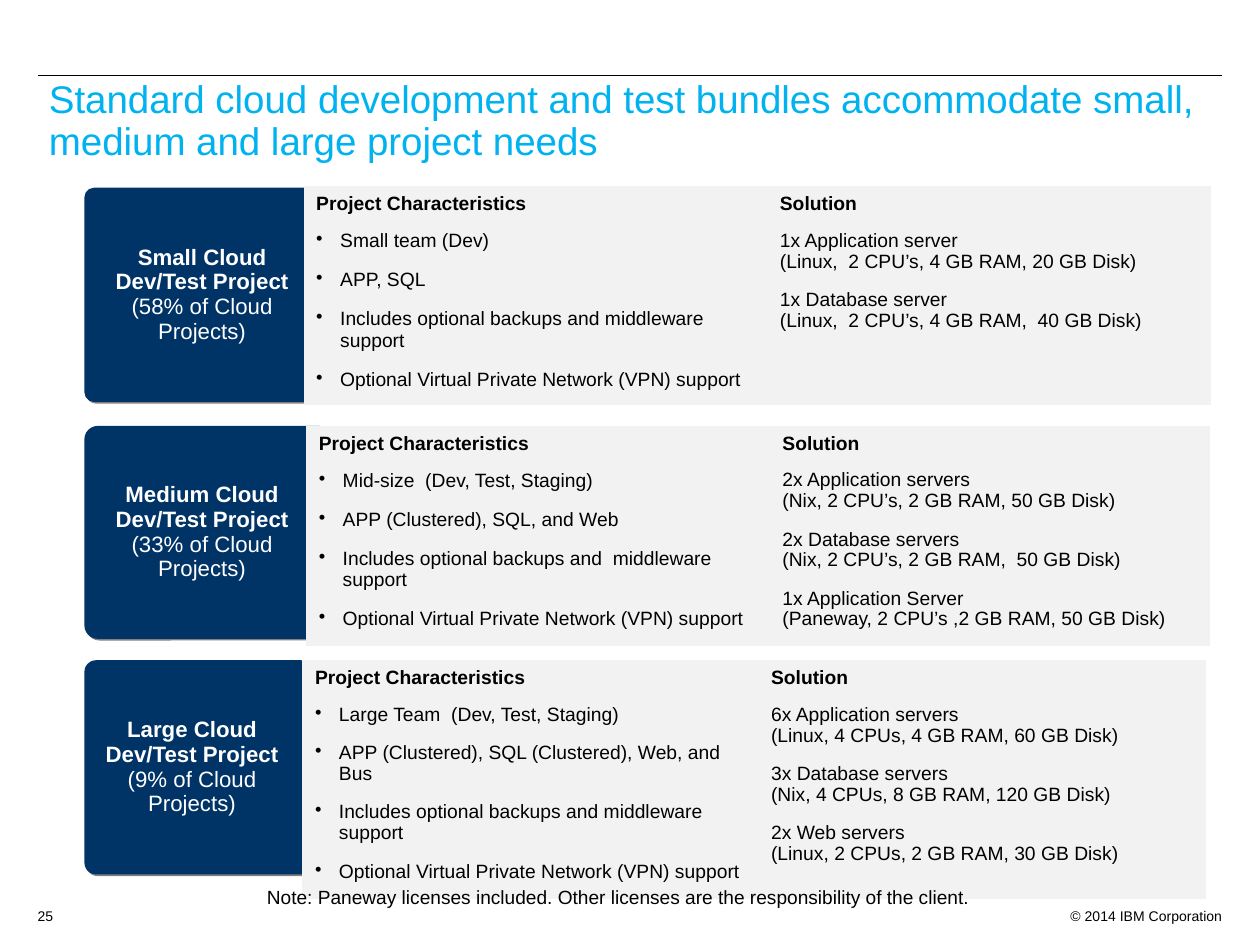
from dataclasses import dataclass

from lxml import etree
from pptx import Presentation
from pptx import util as u
from pptx.dml.color import RGBColor
from pptx.enum import shapes, text
from pptx.oxml import ns

BLACK = RGBColor(0x00, 0x00, 0x00)
WHITE = RGBColor(0xFF, 0xFF, 0xFF)
CYAN = RGBColor(0x00, 0xB2, 0xEF)
NAVY = RGBColor(0x00, 0x33, 0x66)
PALE = RGBColor(0xF2, 0xF2, 0xF2)
GREY = RGBColor(0x80, 0x80, 0x80)

FACE = "Arial"
PLAIN = "{2D5ABB26-0587-4C30-8999-92F81FD0307C}"  # table style without grid
HEADS = ("Project Characteristics", "Solution")
INDENT = 0.19
VPN = "Optional Virtual Private Network (VPN) support"


@dataclass
class Bundle:
    name: str
    share: str
    top: float
    card: tuple[float, float, float, float]  # top, width, height, corner
    left: float
    cols: tuple[float, float]
    body: float
    traits: list[str]
    servers: list[str]
    tight: tuple[float, ...] = (1, 1, 1, 1)


BUNDLES = [
    Bundle("Small Cloud Dev/Test Project", "(58% of Cloud Projects)",
           1.48, (1.49, 1.97, 1.7, 0.045), 2.41, (3.68, 3.52), 1.44,
           ["Small team (Dev)", "APP, SQL",
            "Includes optional backups and middleware support", VPN],
           ["1x Application server\n(Linux,  2 CPU’s, 4 GB RAM, 20 GB Disk)",
            "1x Database server\n(Linux,  2 CPU’s, 4 GB RAM,  40 GB Disk)"]),
    Bundle("Medium Cloud Dev/Test Project", "(33% of Cloud Projects)",
           3.38, (3.38, 1.97, 1.69, 0.063), 2.43, (3.68, 3.49), 1.46,
           ["Mid-size  (Dev, Test, Staging)", "APP (Clustered), SQL, and Web",
            "Includes optional backups and  middleware support", VPN],
           ["2x Application servers\n(Nix, 2 CPU’s, 2 GB RAM, 50 GB Disk)",
            "2x Database servers\n(Nix, 2 CPU’s, 2 GB RAM,  50 GB Disk)",
            "1x Application Server\n(Paneway, 2 CPU’s ,2 GB RAM, 50 GB Disk)"]),
    Bundle("Large Cloud Dev/Test Project", "(9% of Cloud Projects)",
           5.24, (5.24, 1.81, 1.7, 0.054), 2.4, (3.62, 3.55), 1.6,
           ["Large Team  (Dev, Test, Staging)",
            "APP (Clustered), SQL (Clustered), Web, and Bus",
            "Includes optional backups and middleware support", VPN],
           ["6x Application servers\n(Linux, 4 CPUs, 4 GB RAM, 60 GB Disk)",
            "3x Database servers\n(Nix, 4 CPUs, 8 GB RAM, 120 GB Disk)",
            "2x Web servers\n(Linux, 2 CPUs, 2 GB RAM, 30 GB Disk)"],
           (0.98, 0.97, 0.97, 1)),
]


def apply(item, form: dict) -> None:
    for key, value in form.items():
        setattr(item, key, value)


def inset(item, left=0.1, top=0.05, right=0.1, bottom=0.05) -> None:
    sides = zip(("left", "top", "right", "bottom"), (left, top, right, bottom))
    apply(item, {f"margin_{side}": u.Inches(gap) for side, gap in sides})


def add_tag(parent, tag: str, **attrs):
    return etree.SubElement(parent, ns.qn(tag), attrs)


def add_bullet(para) -> None:
    props = para._p.get_or_add_pPr()
    props.set("marL", str(u.Inches(INDENT)))
    props.set("indent", str(-u.Inches(INDENT)))
    add_tag(add_tag(props, "a:buClr"), "a:srgbClr", val=str(BLACK))
    add_tag(props, "a:buChar", char="•")


def write(frame, lines: list[str], size: float, color: RGBColor = BLACK,
          bold: tuple = (), spacing: tuple = (), gap: float = 0,
          bullet: bool = False, align=text.PP_ALIGN.LEFT) -> None:
    """Fill a text frame, one paragraph a line, with gap points between."""
    for i, line in enumerate(lines):
        para = frame.add_paragraph() if i else frame.paragraphs[0]
        para.text = line
        if bullet:
            add_bullet(para)
        form = {"alignment": align}
        if spacing:
            form["line_spacing"] = spacing[i]
        if i and gap:
            form["space_before"] = u.Pt(gap)
        apply(para, form)
        for run in para.runs:
            apply(run.font, {"name": FACE, "size": u.Pt(size),
                             "bold": i in bold})
            run.font.color.rgb = color


def add_text(slide, box: tuple, line: str, size: float,
             anchor=text.MSO_ANCHOR.TOP, **form):
    frame = slide.shapes.add_textbox(*map(u.Inches, box)).text_frame
    apply(frame, {"word_wrap": True, "vertical_anchor": anchor})
    inset(frame)
    write(frame, [line], size, **form)
    return frame


def add_rule(slide) -> None:
    rule = slide.shapes.add_connector(
        shapes.MSO_CONNECTOR.STRAIGHT,
        *map(u.Inches, (0.3, 0.6, 9.7, 0.6)))
    rule.line.color.rgb = BLACK
    rule.line.width = u.Pt(0.75)
    add_tag(rule._element.spPr, "a:effectLst")


def add_card(slide, item: Bundle) -> None:
    top, width, height, corner = item.card
    card = slide.shapes.add_shape(
        shapes.MSO_SHAPE.ROUNDED_RECTANGLE,
        *map(u.Inches, (0.67, top, width, height)))
    card.adjustments[0] = corner
    card.fill.solid()
    card.fill.fore_color.rgb = NAVY
    card.line.fill.background()
    card.shadow.inherit = False
    effects = card._element.spPr.find(ns.qn("a:effectLst"))
    shade = add_tag(effects, "a:outerShdw", dist=str(u.Pt(1.4)),
                    dir=str(45 * 60000), algn="ctr", rotWithShape="0")
    add_tag(shade, "a:srgbClr", val=str(GREY))
    frame = card.text_frame
    apply(frame, {"word_wrap": True,
                  "vertical_anchor": text.MSO_ANCHOR.MIDDLE})
    inset(frame, right=0.2)
    write(frame, [item.name, item.share], 12.7, WHITE, bold=(0,),
          spacing=(0.93, 0.93), align=text.PP_ALIGN.CENTER)


def add_grid(slide, item: Bundle) -> None:
    rows = (0.29, item.body)
    box = (item.left, item.top, sum(item.cols), sum(rows))
    grid = slide.shapes.add_table(2, 2, *map(u.Inches, box)).table
    apply(grid, {"first_row": False, "horz_banding": False})
    grid._tbl.tblPr.find(ns.qn("a:tableStyleId")).text = PLAIN
    for col, width in zip(grid.columns, item.cols):
        col.width = u.Inches(width)
    for row, height in zip(grid.rows, rows):
        row.height = u.Inches(height)
    for cell in grid.iter_cells():
        cell.fill.solid()
        cell.fill.fore_color.rgb = PALE
        inset(cell, top=0.06)
    for i, head in enumerate(HEADS):
        write(grid.cell(0, i).text_frame, [head], 11, bold=(0,),
              spacing=(0.98,))
    write(grid.cell(1, 0).text_frame, item.traits, 11, spacing=item.tight,
          gap=10, bullet=True)
    write(grid.cell(1, 1).text_frame, item.servers, 11,
          spacing=(0.98, 0.97, 0.97), gap=10)


def main() -> None:
    deck = Presentation()
    apply(deck, {"slide_width": u.Inches(10), "slide_height": u.Inches(7.5)})
    slide = deck.slides.add_slide(deck.slide_layouts[6])
    add_rule(slide)
    add_text(slide, (8.3, 7.15, 1.5, 0.2), "© 2014 IBM Corporation", 8,
             align=text.PP_ALIGN.RIGHT)
    add_text(slide, (0.29, 0.82, 9.48, 0.53),
             "Standard cloud development and test bundles accommodate small, "
             "medium and large project needs", 22, text.MSO_ANCHOR.BOTTOM,
             color=CYAN, spacing=(0.9,))
    for draw in (add_card, add_grid):
        for item in BUNDLES:
            draw(slide, item)
    note = add_text(slide, (2.02, 6.98, 8.22, 0.28),
                    "Note: Paneway licenses included. Other licenses are the "
                    "responsibility of the client.", 10.9)
    note.auto_size = text.MSO_AUTO_SIZE.SHAPE_TO_FIT_TEXT
    add_text(slide, (0.2, 7.15, 0.4, 0.2), "25", 8)
    deck.save("out.pptx")


if __name__ == "__main__":
    main()
